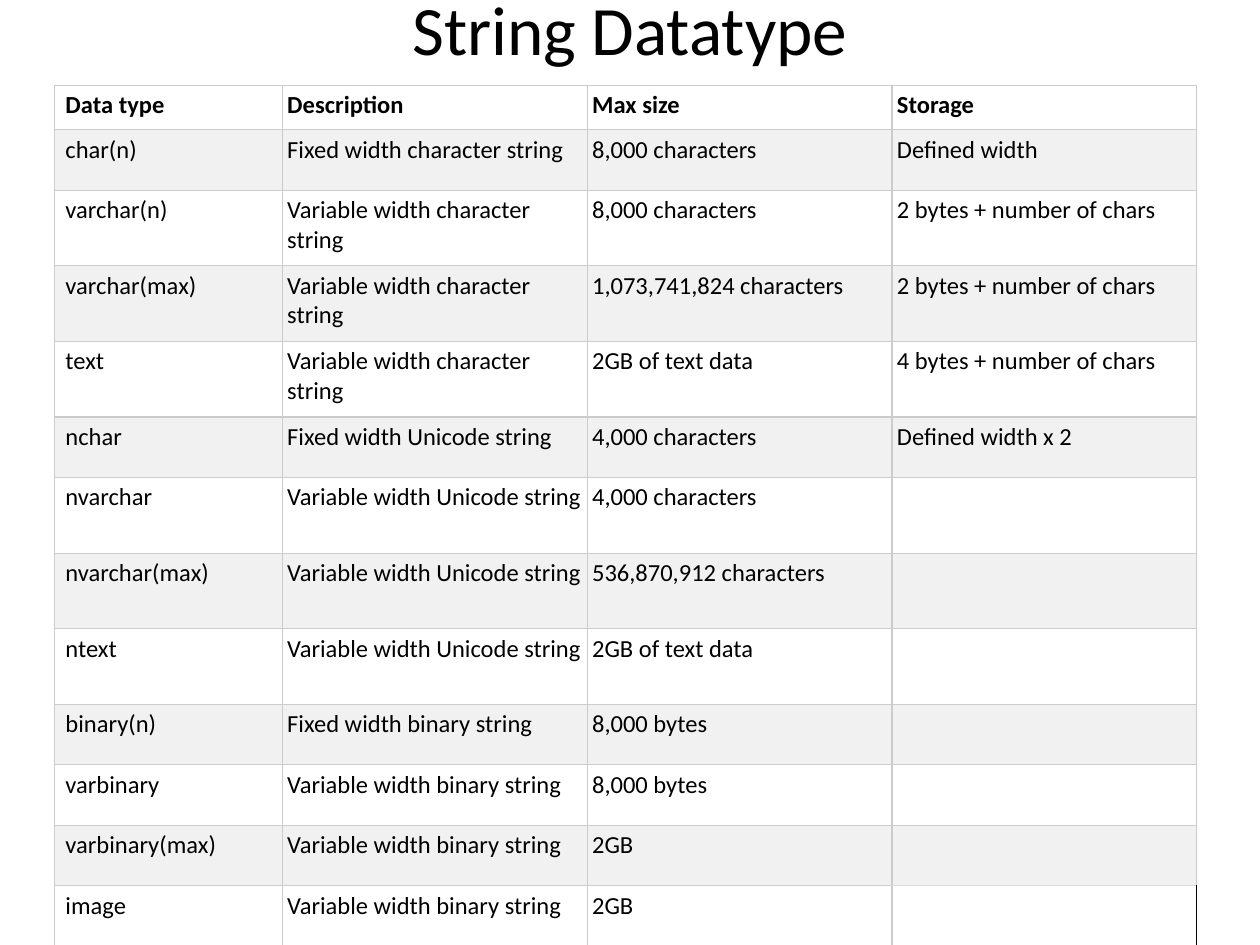
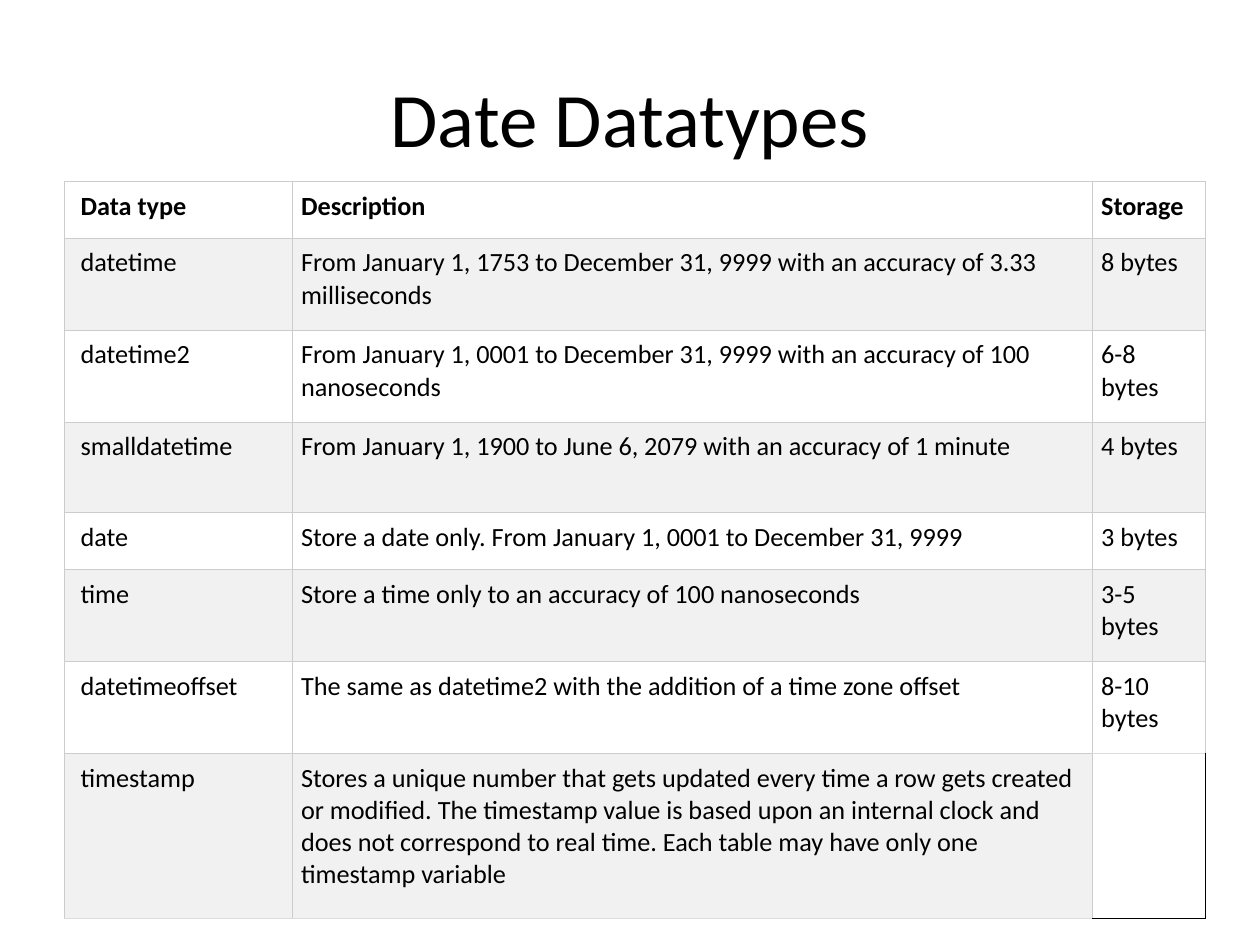
from lxml.etree import SubElement
from pptx import Presentation
from pptx.dml.color import RGBColor
from pptx.enum.text import MSO_ANCHOR, PP_ALIGN
from pptx.oxml.ns import qn
from pptx.util import Inches, Pt

FONT = "Calibri"
BLACK = RGBColor(0x00, 0x00, 0x00)
WHITE = RGBColor(0xFF, 0xFF, 0xFF)
BAND = RGBColor(0xF1, 0xF1, 0xF1)
GRID = RGBColor(0xCC, 0xCC, 0xCC)
EDGE = RGBColor(0xDD, 0xDD, 0xDD)

STRINGS = [
    ("Data type", "Description", "Max size", "Storage"),
    ("char(n)", "Fixed width character string", "8,000 characters", "Defined width"),
    ("varchar(n)", "Variable width character string", "8,000 characters",
     "2 bytes + number of chars"),
    ("varchar(max)", "Variable width character string", "1,073,741,824 characters",
     "2 bytes + number of chars"),
    ("text", "Variable width character string", "2GB of text data",
     "4 bytes + number of chars"),
    ("nchar", "Fixed width Unicode string", "4,000 characters", "Defined width x 2"),
    ("nvarchar", "Variable width Unicode string", "4,000 characters", ""),
    ("nvarchar(max)", "Variable width Unicode string", "536,870,912 characters", ""),
    ("ntext", "Variable width Unicode string", "2GB of text data", ""),
    ("binary(n)", "Fixed width binary string", "8,000 bytes", ""),
    ("varbinary", "Variable width binary string", "8,000 bytes", ""),
    ("varbinary(max)", "Variable width binary string", "2GB", ""),
    ("image", "Variable width binary string", "2GB", ""),
]

DATES = [
    ("Data type", "Description", "Storage"),
    ("datetime", "From January 1, 1753 to December 31, 9999 with an accuracy of "
     "3.33 milliseconds", "8 bytes"),
    ("datetime2", "From January 1, 0001 to December 31, 9999 with an accuracy of "
     "100 nanoseconds", "6-8 bytes"),
    ("smalldatetime", "From January 1, 1900 to June 6, 2079 with an accuracy of "
     "1 minute", "4 bytes"),
    ("date", "Store a date only. From January 1, 0001 to December 31, 9999", "3 bytes"),
    ("time", "Store a time only to an accuracy of 100 nanoseconds", "3-5 bytes"),
    ("datetimeoffset", "The same as datetime2 with the addition of a time zone offset",
     "8-10 bytes"),
    ("timestamp", "Stores a unique number that gets updated every time a row gets "
     "created or modified. The timestamp value is based upon an internal clock and "
     "does not correspond to real time. Each table may have only one timestamp "
     "variable", ""),
]


def write(frame, text, size, bold=False, align=PP_ALIGN.LEFT):
    """Put formatted text in the first paragraph of a frame."""
    para = frame.paragraphs[0]
    para.alignment = align
    para.font.size = Pt(size)
    if text:
        run = para.add_run()
        run.text = text
        run.font.name = FONT
        run.font.size = Pt(size)
        run.font.bold = bold
        run.font.color.rgb = BLACK


def add_title(slide, text, top, height, size):
    """Add the centred slide title."""
    box = slide.shapes.add_textbox(Inches(0.5), Inches(top), Inches(9), Inches(height))
    box.text_frame.word_wrap = True
    box.text_frame.vertical_anchor = MSO_ANCHOR.MIDDLE
    write(box.text_frame, text, size, align=PP_ALIGN.CENTER)


def set_edges(cell, left, right, top, bottom):
    """Draw the four cell borders in the given colours."""
    props = cell._tc.get_or_add_tcPr()
    for side, color in zip("LRTB", (left, right, top, bottom)):
        line = SubElement(props, qn(f"a:ln{side}"), w=str(Pt(0.75)))
        fill = SubElement(line, qn("a:solidFill"))
        SubElement(fill, qn("a:srgbClr"), val=str(color))


def add_grid(slide, data, left, top, widths, heights, size, pad, indent):
    """Add a banded table whose empty last cell is left unfilled."""
    table = slide.shapes.add_table(
        len(data), len(widths), Inches(left), Inches(top),
        Inches(sum(widths)), Inches(sum(heights))).table
    table.first_row = table.horz_banding = False
    for col, width in zip(table.columns, widths):
        col.width = Inches(width)
    for row, height in zip(table.rows, heights):
        row.height = Inches(height)
    last, end = len(data) - 1, len(widths) - 1
    for r, texts in enumerate(data):
        for c, text in enumerate(texts):
            cell = table.cell(r, c)
            cell.margin_left = Inches(pad if c else indent)
            cell.margin_right = cell.margin_top = cell.margin_bottom = Inches(pad)
            write(cell.text_frame, text, size, bold=r == 0)
            if (r, c) == (last, end):
                set_edges(cell, GRID, BLACK, EDGE, BLACK)
                cell.fill.background()
                continue
            pale = r == last or (r, c) == (last - 1, end)
            set_edges(cell, GRID, GRID, GRID, EDGE if pale else GRID)
            cell.fill.solid()
            cell.fill.fore_color.rgb = BAND if r % 2 else WHITE


def add_page(deck):
    """Add a blank white slide."""
    slide = deck.slides.add_slide(deck.slide_layouts[6])
    slide.background.fill.solid()
    slide.background.fill.fore_color.rgb = WHITE
    return slide


def main():
    """Build and save the two datatype slides."""
    deck = Presentation()
    deck.slide_width, deck.slide_height = Inches(10), Inches(7.5)

    page = add_page(deck)
    add_title(page, "String Datatype", 0, 0.44, 39.6)
    add_grid(page, STRINGS, 0.43, 0.68, [1.81] + [2.42] * 3,
             [0.35, 0.48] + [0.6] * 3 + [0.48] + [0.6] * 3 + [0.48] * 4,
             size=14, pad=0.04, indent=0.09)

    page = add_page(deck)
    add_title(page, "Date Datatypes", 0.3, 1.25, 44)
    add_grid(page, DATES, 0.51, 1.44, [1.81, 6.35, 0.9],
             [0.45, 0.73, 0.73, 0.72, 0.45, 0.73, 0.73, 1.31],
             size=15, pad=0.07, indent=0.13)

    deck.save("out.pptx")


main()
